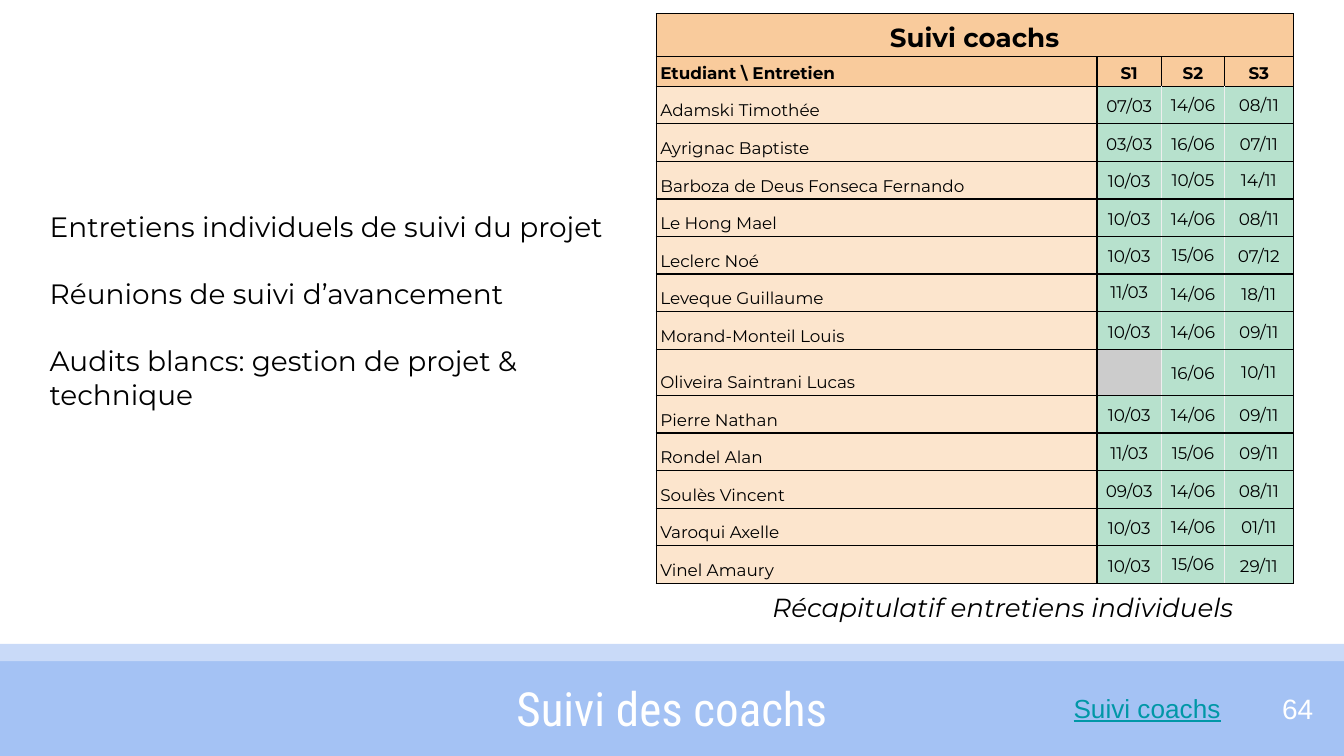
from dataclasses import dataclass

import pptx
import pptx.dml.color
import pptx.enum.shapes
import pptx.enum.text
import pptx.oxml
import pptx.oxml.ns
import pptx.util

Cm = pptx.util.Cm
Pt = pptx.util.Pt
ALIGN = pptx.enum.text.PP_ALIGN
ANCHOR = pptx.enum.text.MSO_ANCHOR

HUES = {
    "black": "000000",
    "white": "FFFFFF",
    "band": "A4C2F4",
    "strip": "C9DAF8",
    "head": "F9CB9C",
    "name": "FCE5CD",
    "done": "B7E1CD",
    "none": "CCCCCC",
    "pale": "EEEEEE",
    "link": "0097A7",
}


@dataclass
class Bar:
    top: float
    height: float
    hue: str


@dataclass
class Label:
    lines: list[str]
    box: tuple[float, float, float, float]
    style: dict
    anchor: ANCHOR = ANCHOR.TOP


@dataclass
class Student:
    name: str
    dates: str
    tight: tuple[int, ...] = ()


BARS = [Bar(12.5, 1.83, "band"), Bar(12.17, 0.33, "strip")]

LABELS = [
    Label(["Suivi des coachs"], (8.94, 12.6, 7.52, 1.6),
          dict(size=25.2, face="Roboto Condensed", hue="white", align=ALIGN.CENTER)),
    Label(["64"], (23.55, 12.85, 1.52, 1.09),
          dict(size=15, face="Arial", hue="white", align=ALIGN.RIGHT), ANCHOR.MIDDLE),
    Label(["Suivi coachs"], (20.04, 12.83, 3.48, 1.12),
          dict(size=14, face="Arial", hue="link", under=True)),
    Label(["Entretiens individuels de suivi du projet",
           "Réunions de suivi d’avancement",
           "Audits blancs: gestion de projet & technique"],
          (0.69, 3.71, 11.46, 4.37), dict(size=15, gap=18)),
    Label(["Récapitulatif entretiens individuels"], (13.97, 10.92, 9.98, 1.12),
          dict(size=14, italic=True, align=ALIGN.CENTER)),
]

STUDENTS = [
    Student("Adamski Timothée", "07/03 14/06 08/11", (2, 3)),
    Student("Ayrignac Baptiste", "03/03 16/06 07/11"),
    Student("Barboza de Deus Fonseca Fernando", "10/03 10/05 14/11", (2, 3)),
    Student("Le Hong Mael", "10/03 14/06 08/11"),
    Student("Leclerc Noé", "10/03 15/06 07/12", (2,)),
    Student("Leveque Guillaume", "11/03 14/06 18/11", (1,)),
    Student("Morand-Monteil Louis", "10/03 14/06 09/11"),
    Student("Oliveira Saintrani Lucas", "- 16/06 10/11", (3,)),
    Student("Pierre Nathan", "10/03 14/06 09/11"),
    Student("Rondel Alan", "11/03 15/06 09/11"),
    Student("Soulès Vincent", "09/03 14/06 08/11"),
    Student("Varoqui Axelle", "10/03 14/06 01/11", (2, 3)),
    Student("Vinel Amaury", "10/03 15/06 29/11", (2,)),
]
HEADS = ["Etudiant \\ Entretien", "S1", "S2", "S3"]
WIDTHS = [8.33, 1.22, 1.19, 1.3]
TITLE_H, HEAD_H, ROW_H, GAP_H = 0.81, 0.56, 0.71, 0.82


def paint(fill, hue: str) -> None:
    fill.solid()
    fill.fore_color.rgb = pptx.dml.color.RGBColor.from_string(HUES[hue])


def write(frame, lines: list[str], *, size: float = 9, face: str = "Montserrat",
          hue: str = "black", bold: bool = False, italic: bool = False,
          under: bool = False, align: ALIGN = ALIGN.LEFT,
          space: float = 1.0, gap: float = 0) -> None:
    for i, line in enumerate(lines):
        para = frame.paragraphs[0] if i == 0 else frame.add_paragraph()
        para.alignment = align
        para.line_spacing = space
        para.space_before = Pt(gap if i else 0)
        run = para.add_run()
        run.text = line
        font = run.font
        font.size, font.name = Pt(size), face
        font.bold, font.italic, font.underline = bold, italic, under
        font.color.rgb = pptx.dml.color.RGBColor.from_string(HUES[hue])


def draw_bar(slide, bar: Bar) -> None:
    shape = slide.shapes.add_shape(pptx.enum.shapes.MSO_SHAPE.RECTANGLE,
                                   Cm(-0.03), Cm(bar.top), Cm(25.58), Cm(bar.height))
    shape.shadow.inherit = False
    shape.line.fill.background()
    paint(shape.fill, bar.hue)


def draw_label(slide, label: Label) -> None:
    frame = slide.shapes.add_textbox(*map(Cm, label.box)).text_frame
    frame.word_wrap = True
    frame.vertical_anchor = label.anchor
    frame.margin_left = frame.margin_right = Cm(0.25)
    frame.margin_top = frame.margin_bottom = Cm(0.25)
    write(frame, label.lines, **label.style)


def edge(cell, pale: str = "") -> None:
    props = cell._tc.get_or_add_tcPr()
    space = pptx.oxml.ns.nsdecls("a")
    for side in "LRTB":
        hue = HUES["pale" if side in pale else "black"]
        props.append(pptx.oxml.parse_xml(
            f'<a:ln{side} {space} w="9525"><a:solidFill><a:srgbClr val="{hue}"/>'
            f'</a:solidFill></a:ln{side}>'))


def fill_cell(cell, text: str, hue: str, *, pale: str = "",
              anchor: ANCHOR = ANCHOR.BOTTOM, **style) -> None:
    edge(cell, pale)
    paint(cell.fill, hue)
    cell.margin_left = cell.margin_right = Cm(0.08)
    cell.margin_top = cell.margin_bottom = Cm(0.05)
    cell.vertical_anchor = anchor
    if text:
        write(cell.text_frame, [text], **{"space": 1.15, **style})


def draw_table(slide) -> None:
    heights = [TITLE_H, HEAD_H] + [GAP_H if "-" in s.dates else ROW_H for s in STUDENTS]
    table = slide.shapes.add_table(len(heights), len(WIDTHS), Cm(12.4), Cm(0.26),
                                   Cm(sum(WIDTHS)), Cm(sum(heights))).table
    table.first_row = table.horz_banding = False
    for col, width in zip(table.columns, WIDTHS):
        col.width = Cm(width)
    for row, height in zip(table.rows, heights):
        row.height = Cm(height)

    table.cell(0, 0).merge(table.cell(0, 3))
    for c, head in enumerate(HEADS):
        fill_cell(table.cell(0, c), "" if c else "Suivi coachs", "head",
                  size=14, bold=True, align=ALIGN.CENTER)
        fill_cell(table.cell(1, c), head, "head", bold=True,
                  align=ALIGN.CENTER if c else ALIGN.LEFT)

    for r, student in enumerate(STUDENTS, 2):
        fill_cell(table.cell(r, 0), student.name, "name")
        for c, date in enumerate(student.dates.split(), 1):
            met = date != "-"
            fill_cell(table.cell(r, c), date if met else "", "done" if met else "none",
                      pale={1: "R", 2: "LR", 3: "L"}[c], anchor=ANCHOR.MIDDLE,
                      align=ALIGN.CENTER, space=1.0 if c in student.tight else 1.15)


def main() -> None:
    deck = pptx.Presentation()
    deck.slide_width, deck.slide_height = Cm(25.4), Cm(14.29)
    slide = deck.slides.add_slide(deck.slide_layouts[6])
    for bar in BARS:
        draw_bar(slide, bar)
    draw_table(slide)
    for label in LABELS:
        draw_label(slide, label)
    deck.save("out.pptx")


if __name__ == "__main__":
    main()
